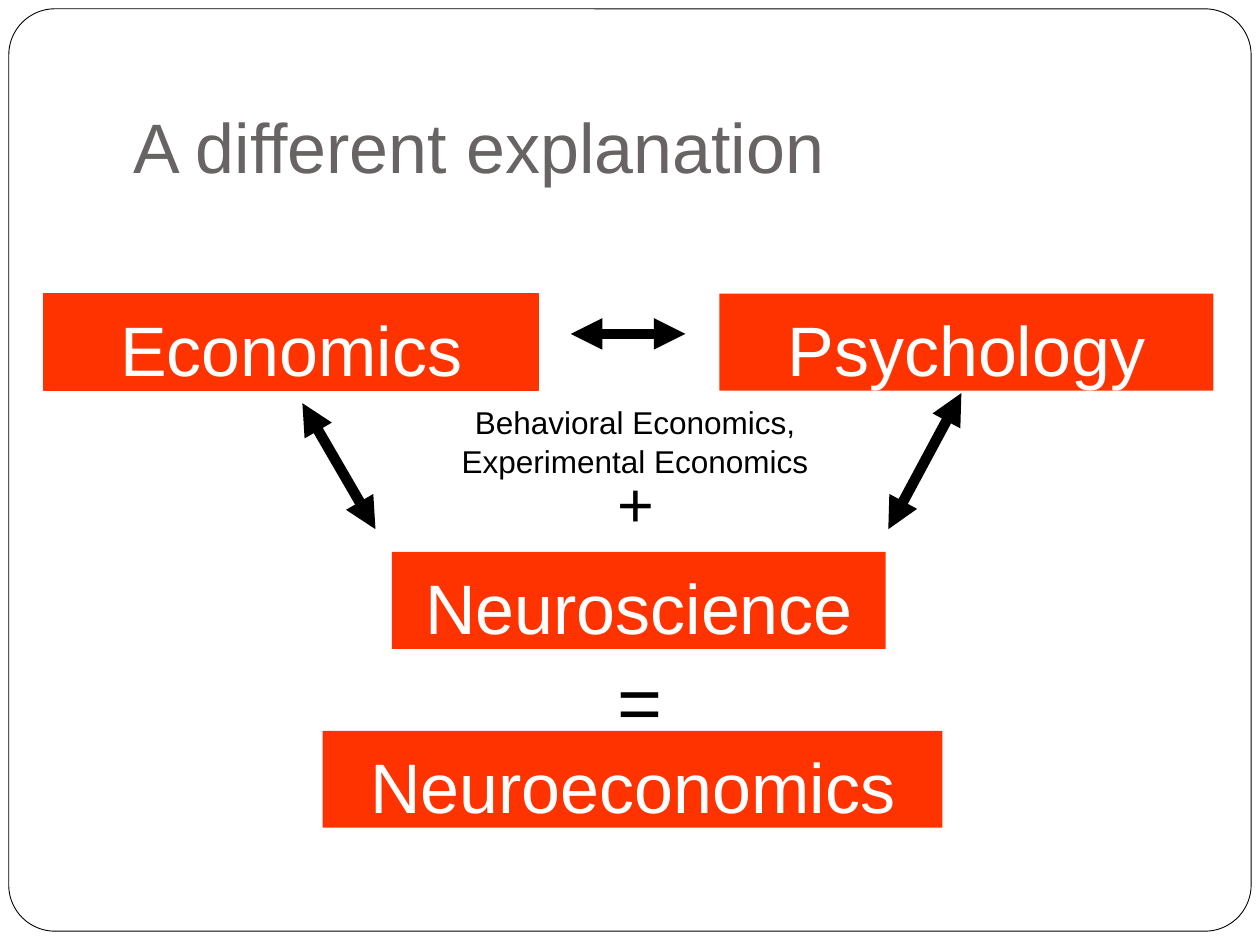
from dataclasses import dataclass

from lxml import etree
from pptx import Presentation
from pptx import util as u
from pptx.dml.color import RGBColor
from pptx.enum import shapes, text
from pptx.oxml import ns

# Grid: 100 columns by 75 rows on a 10 x 7.5 inch slide
COLUMNS, ROWS = 100, 75
WIDTH, HEIGHT = u.Inches(10), u.Inches(7.5)


@dataclass(frozen=True)
class Theme:
    font: str = "Arial"
    paper: RGBColor = RGBColor(0xFF, 0xFF, 0xFF)
    ink: RGBColor = RGBColor(0, 0, 0)
    heading: RGBColor = RGBColor(0x69, 0x64, 0x64)
    bar: RGBColor = RGBColor(0xFF, 0x33, 0x00)
    large: int = 40
    equals: int = 44
    plus: int = 36
    caption: int = 18
    frame_line: float = 0.5
    bar_line: float = 0.75
    arrow_line: int = 6


THEME = Theme()


def x(columns):
    return round(WIDTH * columns / COLUMNS)


def y(rows):
    return round(HEIGHT * rows / ROWS)


def place(left, top, width, height):
    return x(left), y(top), x(width), y(height)


def write(shape, words, size, color, align=text.PP_ALIGN.LEFT,
          anchor=text.MSO_ANCHOR.TOP, top_inset=1, spacing=None):
    frame = shape.text_frame
    frame.word_wrap = True
    frame.vertical_anchor = anchor
    frame.margin_left = frame.margin_right = x(0.6)
    frame.margin_top, frame.margin_bottom = y(top_inset), y(0.6)
    paragraph = frame.paragraphs[0]
    paragraph.alignment = align
    paragraph.line_spacing = spacing
    run = paragraph.add_run()
    run.text = words
    run.font.name = THEME.font
    run.font.size = u.Pt(size)
    run.font.color.rgb = color


def add_label(slide, box, words, size, color, **layout):
    write(slide.shapes.add_textbox(*place(*box)), words, size, color, **layout)


def add_frame(slide):
    shape = slide.shapes.add_shape(shapes.MSO_SHAPE.ROUNDED_RECTANGLE,
                                   *place(0.7, 0.7, 98.6, 73.2))
    shape.adjustments[0] = 0.05
    shape.shadow.inherit = False
    shape.fill.solid()
    shape.fill.fore_color.rgb = THEME.paper
    shape.line.color.rgb = THEME.ink
    shape.line.width = u.Pt(THEME.frame_line)


def add_bar(slide, words, left, top, width=39.2, outlined=False):
    shape = slide.shapes.add_shape(shapes.MSO_SHAPE.RECTANGLE,
                                   *place(left, top, width, 7.7))
    shape.shadow.inherit = False
    shape.fill.solid()
    shape.fill.fore_color.rgb = THEME.bar
    if outlined:
        shape.line.color.rgb = THEME.bar
        shape.line.width = u.Pt(THEME.bar_line)
    else:
        shape.line.fill.background()
    write(shape, words, THEME.large, THEME.paper, text.PP_ALIGN.CENTER)


def add_double_arrow(slide, start, end):
    arrow = slide.shapes.add_connector(shapes.MSO_CONNECTOR.STRAIGHT,
                                       x(start[0]), y(start[1]), x(end[0]), y(end[1]))
    arrow.line.color.rgb = THEME.ink
    arrow.line.width = u.Pt(THEME.arrow_line)
    line = arrow.line._get_or_add_ln()
    for tag in ("a:headEnd", "a:tailEnd"):
        etree.SubElement(line, ns.qn(tag), type="triangle")
    etree.SubElement(arrow._element.spPr, ns.qn("a:effectLst"))


def main():
    presentation = Presentation()
    presentation.slide_width, presentation.slide_height = WIDTH, HEIGHT
    slide = presentation.slides.add_slide(presentation.slide_layouts[6])

    # Frame and title
    add_frame(slide)
    add_label(slide, (10, 3, 85, 12.5), "A different explanation", THEME.large,
              THEME.heading, anchor=text.MSO_ANCHOR.BOTTOM)

    # Fields of study
    add_bar(slide, "Psychology", 57.1, 23.3)
    add_bar(slide, "Economics", 3.5, 23.3, outlined=True)
    add_bar(slide, "Neuroscience", 31.1, 43.8)
    add_bar(slide, "Neuroeconomics", 25.6, 58, width=49.2)

    # Links between the fields
    for start, end in (((45.3, 26.5), (54.4, 26.5)),
                       ((24, 32), (29.8, 42)),
                       ((76.3, 31.2), (70.5, 42))):
        add_double_arrow(slide, start, end)

    # Caption and signs of the sum
    add_label(slide, (35, 31.2, 30.8, 7), "Behavioral Economics, Experimental Economics",
              THEME.caption, THEME.ink, align=text.PP_ALIGN.CENTER,
              top_inset=0.6, spacing=1.05)
    add_label(slide, (48.4, 35.9, 4.9, 7), "+", THEME.plus, THEME.ink)
    add_label(slide, (48.4, 50.9, 5, 8.3), "=", THEME.equals, THEME.ink)

    presentation.save("out.pptx")


if __name__ == "__main__":
    main()
